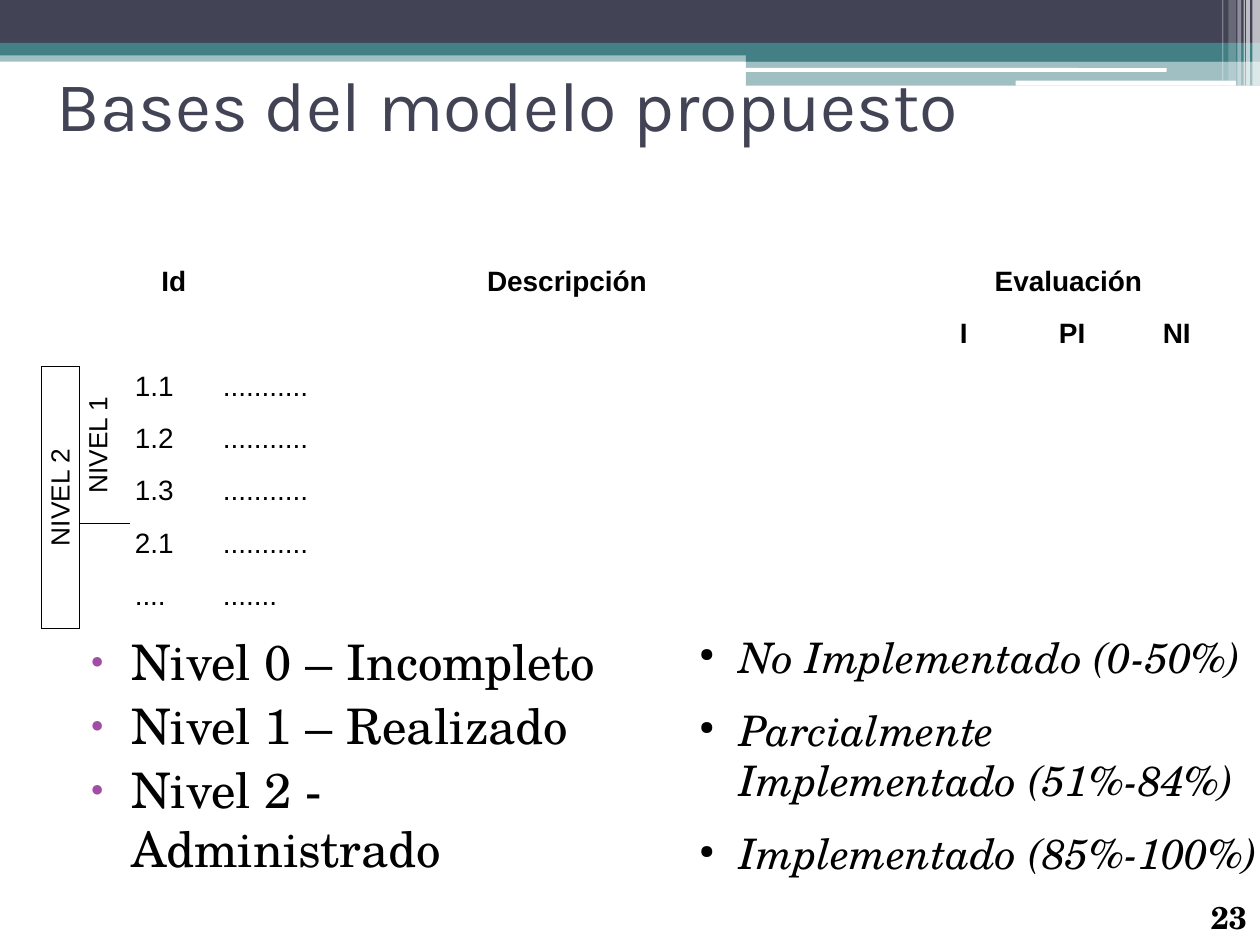
from lxml import etree
from pptx import Presentation
from pptx.dml.color import RGBColor
from pptx.enum.shapes import MSO_SHAPE as SHAPE
from pptx.enum.text import MSO_ANCHOR as ANCHOR, MSO_AUTO_SIZE as FIT, PP_ALIGN as ALIGN
from pptx.oxml.ns import qn
from pptx.util import Inches, Pt

NAVY = RGBColor(0x42, 0x44, 0x56)
TEAL = RGBColor(0x43, 0x80, 0x86)
PURPLE = RGBColor(0xA0, 0x4D, 0xA3)
WHITE = RGBColor(0xFF, 0xFF, 0xFF)
BLACK = RGBColor(0, 0, 0)
SERIF, SANS, HEAD = "TeX Gyre Schola", "Arial", "Karla"
HAIR, LINE = 0.03, 1

BANDS = [  # left, top, width, height, colour, opacity
    (0, 0.4, 10, 0.09, TEAL, 50),
    (0, 0, 10, 0.34, NAVY, 100),
    (0, 0.34, 10, 0.1, TEAL, 100),
    (5.92, 0.39, 4.08, 0.1, TEAL, 100),
    (5.92, 0.48, 4.08, 0.2, TEAL, 50),
]
RULES = [(5.91, 0.54, 3.35, 0.03), (8.06, 0.64, 1.75, 0.04)]
STRIPES = [  # left, width, height, opacity
    (9.94, 0.06, 0.68, 65), (9.89, 0.03, 0.68, 65), (9.87, 0.01, 0.68, 60),
    (9.82, 0.03, 0.68, 40), (9.75, 0.06, 0.64, 20), (9.7, 0.01, 0.64, 30),
]
COLUMNS = [0.3, 0.4, 0.7, 5.54, 0.76, 0.96, 0.7]
HEADERS = {(0, 2): "Id", (0, 3): "Descripción", (0, 4): "Evaluación",
           (1, 4): "I", (1, 5): "PI", (1, 6): "NI"}
LEVELS = {(2, 0): "NIVEL 2", (2, 1): "NIVEL 1"}
ITEMS = [("1.1", "..........."), ("1.2", "..........."), ("1.3", "..........."),
         ("2.1", "..........."), ("....", ".......")]
MERGES = [(0, 2, 1, 2), (0, 3, 1, 3), (0, 4, 0, 6), (2, 0, 6, 0), (2, 1, 4, 1)]


def box(lengths):
    """Convert a sequence of inches to lengths."""
    return [Inches(v) for v in lengths]


def style(font, name, size, color=BLACK, bold=False, italic=False):
    """Set every property of a font."""
    font.name, font.size, font.bold, font.italic = name, Pt(size), bold, italic
    font.color.rgb = color


def add_bar(s, at, color, opacity=100, kind=SHAPE.RECTANGLE):
    """Add a flat bar without outline."""
    sp = s.shapes.add_shape(kind, *box(at))
    sp.shadow.inherit = False
    sp.line.fill.background()
    sp.fill.solid()
    sp.fill.fore_color.rgb = color
    if opacity < 100:
        clr = sp.fill._xPr.find(".//" + qn("a:srgbClr"))
        etree.SubElement(clr, qn("a:alpha"), val=str(opacity * 1000))


def add_header(s):
    """Draw the coloured bands and stripes along the top."""
    for *at, color, opacity in BANDS:
        add_bar(s, at, color, opacity)
    for at in RULES:
        add_bar(s, at, WHITE, kind=SHAPE.ROUNDED_RECTANGLE)
    for left, width, height, opacity in STRIPES:
        add_bar(s, (left, 0, width, height), WHITE, opacity)


def set_frame(sp, at, insets, wrap=True):
    """Place a text shape and return its text frame."""
    sp.left, sp.top, sp.width, sp.height = box(at)
    tf = sp.text_frame
    tf.auto_size, tf.word_wrap = FIT.NONE, wrap
    tf.margin_left, tf.margin_top, tf.margin_right, tf.margin_bottom = box(insets)
    return tf


def fill_list(tf, items, size, bullet_color, before=0, after=0, italic=False):
    """Write a bulleted list."""
    tf.text = "\n".join(items)
    for p in tf.paragraphs:
        p.space_before, p.space_after = Pt(before), Pt(after)
        style(p.font, SERIF, size, italic=italic)
        pPr = p._p.get_or_add_pPr()
        pPr.set("marL", str(Inches(0.43)))
        pPr.set("indent", str(Inches(-0.32)))
        bullet = [etree.Element(qn("a:buClr")),
                  etree.Element(qn("a:buSzPct"), val="45000"),
                  etree.Element(qn("a:buChar"), char="●")]
        etree.SubElement(bullet[0], qn("a:srgbClr"), val=str(bullet_color))
        for el in bullet:
            pPr.find(qn("a:defRPr")).addprevious(el)


def cell_borders(row, col):
    """Return the border width of each visible side of a table cell."""
    if row < 2 and col < 2:
        sides = {"R": HAIR} if col else {}
        if row == 1:
            sides["B"] = HAIR if col else LINE
        return sides
    if col == 0:
        return dict.fromkeys("LRTB", LINE)
    if col == 1:
        sides = {"L": LINE, "R": HAIR}
        if row < 5:
            sides.update(T=HAIR, B=LINE)
        elif row == 5:
            sides["T"] = LINE
        return sides
    return dict.fromkeys("LRTB", HAIR)


def set_borders(cell, sides):
    """Apply border widths to a cell, hiding the other sides."""
    tcPr = cell._tc.get_or_add_tcPr()
    for i, side in enumerate("LRTB"):
        ln = etree.Element(qn("a:ln" + side))
        if side in sides:
            ln.set("w", str(Pt(sides[side])))
            fill = etree.SubElement(ln, qn("a:solidFill"))
            etree.SubElement(fill, qn("a:srgbClr"), val=str(BLACK))
        else:
            etree.SubElement(ln, qn("a:noFill"))
        tcPr.insert(i, ln)


def add_levels_table(s):
    """Add the evaluation table."""
    rows = len(ITEMS) + 2
    frame = s.shapes.add_table(rows, len(COLUMNS), *box((0.33, 2.08, 9.36, 2.91)))
    table = frame.table
    table.first_row = table.horz_banding = False
    for column, width in zip(table.columns, COLUMNS):
        column.width = Inches(width)
    for top, left, bottom, right in MERGES:
        table.cell(top, left).merge(table.cell(bottom, right))
    texts = {**HEADERS, **LEVELS}
    for i, pair in enumerate(ITEMS, 2):
        texts.update({(i, 2): pair[0], (i, 3): pair[1]})
    for row in range(rows):
        for col in range(len(COLUMNS)):
            key, cell = (row, col), table.cell(row, col)
            cell.fill.background()
            set_borders(cell, cell_borders(row, col))
            cell.margin_left = cell.margin_right = cell.margin_bottom = Inches(0.04)
            cell.margin_top = Inches(0.05)
            if key not in texts:
                continue
            cell.text = texts[key]
            p = cell.text_frame.paragraphs[0]
            p.line_spacing = 0.93
            p.alignment = ALIGN.LEFT if row > 1 and col > 1 else ALIGN.CENTER
            style(p.font, SANS, 15 if key in LEVELS else 16, bold=key in HEADERS)
            if key in LEVELS:
                cell.vertical_anchor = ANCHOR.MIDDLE
                cell._tc.get_or_add_tcPr().set("vert", "vert270")


def main():
    """Build the slide and save it."""
    prs = Presentation()
    prs.slide_width, prs.slide_height = Inches(10), Inches(7.5)
    s = prs.slides.add_slide(prs.slide_layouts[1])
    title, body = s.placeholders
    add_header(s)
    for sp in (title, body):
        s.shapes.element.append(sp.element)

    tf = set_frame(title, (0.36, 0.09, 9.29, 1.48), (0.09, 0.04, 0.09, 0.05))
    tf.text, tf.vertical_anchor = "Bases del modelo propuesto", ANCHOR.MIDDLE
    tf.paragraphs[0].alignment = ALIGN.LEFT
    style(tf.paragraphs[0].font, HEAD, 40, NAVY)

    tf = set_frame(body, (0.52, 4.96, 4.69, 2.75), (0.09, 0.05, 0.09, 0.05))
    fill_list(tf, ["Nivel 0 – Incompleto", "Nivel 1 – Realizado",
                   "Nivel 2 - Administrado"], 28, PURPLE, before=3)

    scale = s.shapes.add_textbox(0, 0, 0, 0)
    tf = set_frame(scale, (5.44, 4.99, 4.69, 2.75), (0, 0.02, 0, 0))
    fill_list(tf, ["No Implementado (0-50%)", "Parcialmente Implementado (51%-84%)",
                   "Implementado (85%-100%)"], 24, BLACK, after=12.9, italic=True)

    number = s.shapes.add_textbox(0, 0, 0, 0)
    tf = set_frame(number, (9.52, 7.07, 1.28, 0.43), (0.09, 0.06, 0.09, 0.04), wrap=False)
    tf.text = "23"
    style(tf.paragraphs[0].font, SERIF, 18, bold=True)

    add_levels_table(s)
    prs.save("out.pptx")


main()
